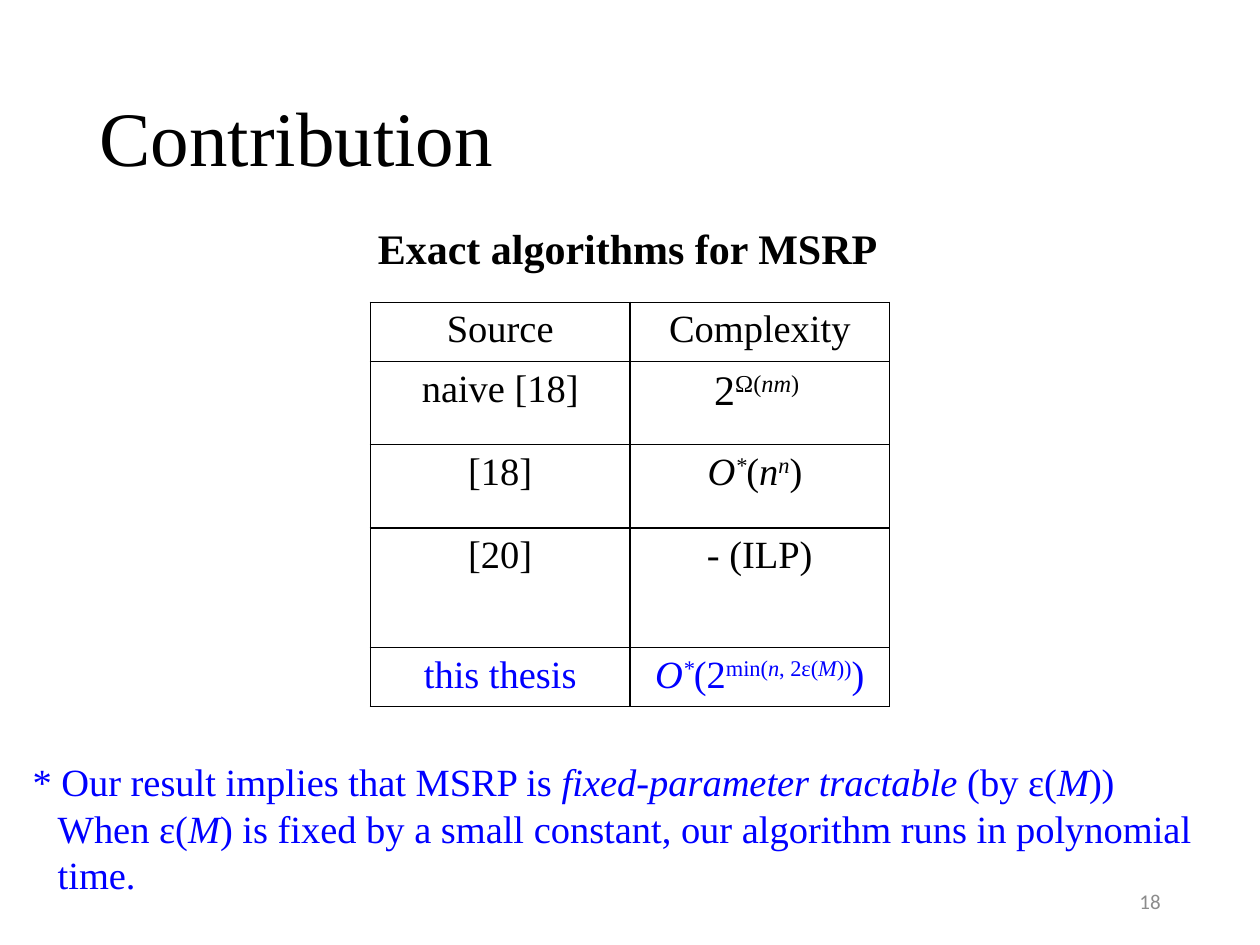
from lxml.etree import SubElement
from pptx import Presentation
from pptx.dml.color import RGBColor
from pptx.enum.text import MSO_ANCHOR as Anchor, PP_ALIGN as Align
from pptx.oxml.ns import qn
from pptx.util import Inches, Pt

SERIF = "Times New Roman"
BLACK, BLUE, GREY, WHITE = "000000", "0000FF", "8C8C8C", "FFFFFF"

# Each text is a list of (words, marks): i = italic, b = bold, ^ = superscript.
TITLE = [("Contribution", "")]
CAPTION = [("Exact algorithms for MSRP", "b")]
PAGE_NUMBER = [("18", "")]
NOTES = [
    [("* Our result implies that MSRP is ", ""), ("fixed-parameter tractable", "i"),
     (" (by ε(", ""), ("M", "i"), ("))", "")],
    [("When ε(", ""), ("M", "i"),
     (") is fixed by a small constant, our algorithm runs in polynomial time.", "")],
]
NOTE_INDENTS = [(0.29, -0.29), (0.2, 0)]  # left margin, first line

# Row height, colour, source, complexity, size of the complexity
ROWS = [
    (0.47, BLACK, [("Source", "")], [("Complexity", "")], 22),
    (0.66, BLACK, [("naive [18]", "")],
     [("2", ""), ("Ω(", "^"), ("nm", "i^"), (") ", "^")], 24),
    (0.66, BLACK, [("[18]", "")],
     [("O", "i"), ("*", "i^"), ("(", ""), ("n", "i"), ("n", "i^"), (") ", "")], 22),
    (0.95, BLACK, [("[20]", "")], [("- (ILP)", "")], 22),
    (0.47, BLUE, [("this thesis", "")],
     [("O", "i"), ("*", "i^"), ("(2", ""), ("min(", "^"), ("n", "i^"),
      (", 2ε(", "^"), ("M", "i^"), ("))", "^"), (")", "")], 22),
]
COLUMN_WIDTH = 2.06


def rgb(value):
    return RGBColor.from_string(value)


def inches(*lengths):
    return [Inches(length) for length in lengths]


def write(para, spans, size, color=BLACK, align=Align.LEFT, font=SERIF):
    para.alignment = align
    for words, marks in spans:
        span = para.add_run()
        span.text = words
        span.font.name, span.font.size = font, Pt(size)
        span.font.color.rgb = rgb(color)
        span.font.bold, span.font.italic = "b" in marks, "i" in marks
        if "^" in marks:
            span.font._element.set("baseline", "30000")


def add_text_frame(slide, box, wrap=True):
    frame = slide.shapes.add_textbox(*inches(*box)).text_frame
    frame.word_wrap = wrap
    return frame


def add_borders(cell):
    properties = cell._tc.get_or_add_tcPr()
    for side in ("lnL", "lnR", "lnT", "lnB"):
        line = SubElement(properties, qn(f"a:{side}"), w=str(Pt(1)))
        fill = SubElement(line, qn("a:solidFill"))
        SubElement(fill, qn("a:srgbClr"), val=BLACK)


def add_complexity_table(slide):
    height = sum(row[0] for row in ROWS)
    table = slide.shapes.add_table(
        len(ROWS), 2, *inches(2.94, 2.4, 2 * COLUMN_WIDTH, height)).table
    for column in table.columns:
        column.width = Inches(COLUMN_WIDTH)
    for index, (row_height, color, source, complexity, size) in enumerate(ROWS):
        table.rows[index].height = Inches(row_height)
        for column, (spans, points) in enumerate([(source, 22), (complexity, size)]):
            cell = table.cell(index, column)
            add_borders(cell)
            cell.fill.solid()
            cell.fill.fore_color.rgb = rgb(WHITE)
            write(cell.text_frame.paragraphs[0], spans, points, color, Align.CENTER)


def main():
    deck = Presentation()
    deck.slide_width, deck.slide_height = inches(10, 7.5)
    slide = deck.slides.add_slide(deck.slide_layouts[5])

    title = slide.shapes.title
    title.left, title.top, title.width, title.height = inches(0.69, 0.4, 8.62, 1.45)
    title.text_frame.vertical_anchor = Anchor.MIDDLE
    heading = title.text_frame.paragraphs[0]
    heading.line_spacing = 0.9
    write(heading, TITLE, 44)

    number = add_text_frame(slide, (7.06, 6.95, 2.25, 0.4))
    number.vertical_anchor = Anchor.MIDDLE
    write(number.paragraphs[0], PAGE_NUMBER, 12, GREY, Align.RIGHT, "Calibri")

    notes = add_text_frame(slide, (0.16, 5.97, 9.68, 1.21))
    for index, (spans, (margin, first)) in enumerate(zip(NOTES, NOTE_INDENTS)):
        para = notes.add_paragraph() if index else notes.paragraphs[0]
        write(para, spans, 22, BLUE)
        properties = para._p.get_or_add_pPr()
        properties.set("marL", str(Inches(margin)))
        properties.set("indent", str(Inches(first)))

    caption = add_text_frame(slide, (2.9, 1.72, 4.21, 0.5), wrap=False)
    write(caption.paragraphs[0], CAPTION, 24)

    add_complexity_table(slide)
    deck.save("out.pptx")


if __name__ == "__main__":
    main()
